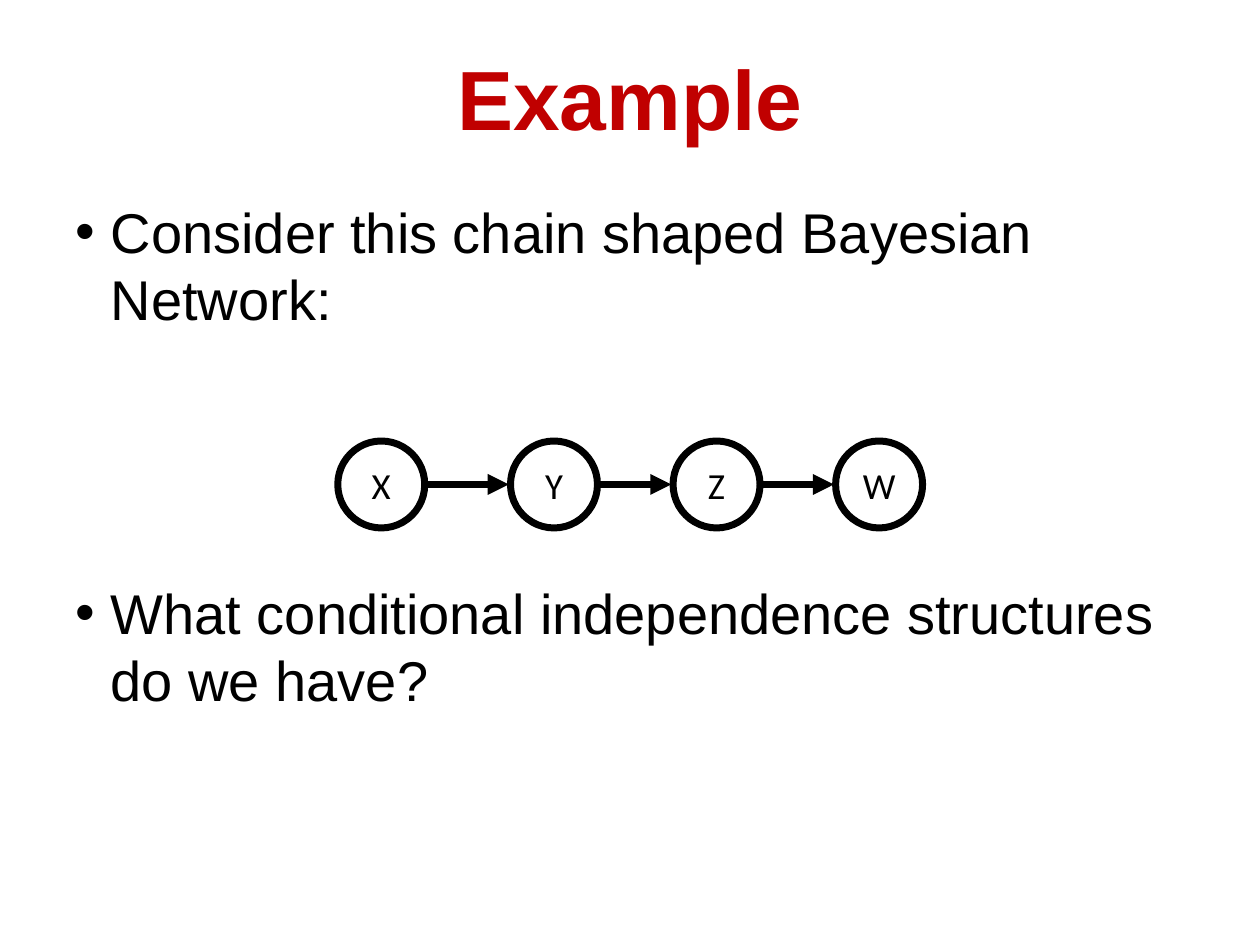
"""Builds the example slide with a chain-shaped Bayesian network."""
from lxml.etree import SubElement
from pptx import Presentation
from pptx.dml.color import RGBColor
from pptx.enum.shapes import MSO_CONNECTOR, MSO_SHAPE
from pptx.enum.text import MSO_ANCHOR, PP_ALIGN
from pptx.oxml.ns import qn
from pptx.util import Pt

COLORS = {"title": "C00000", "ink": "000000", "paper": "FFFFFF"}
NODES = [("X", 193), ("Y", 291.7), ("Z", 384.6), ("W", 477.5)]
NODE_TOP, NODE_SIZE = 252, 49.7
BULLETS = [
    ("Consider this chain shaped Bayesian Network:", 0),
    ("What conditional independence structures do we have?", 141),
]


class SlideBuilder:
    def __init__(self, slide):
        self.slide = slide
        self.line_width = Pt(4)

    def color(self, name):
        return RGBColor.from_string(COLORS[name])

    def style(self, paragraph, size, font, color="ink", bold=False):
        paragraph.font.size = Pt(size)
        paragraph.font.name = font
        paragraph.font.bold = bold
        paragraph.font.color.rgb = self.color(color)

    def outline(self, shape):
        shape.line.color.rgb = self.color("ink")
        shape.line.width = self.line_width

    def title(self, text, left, top, width, height):
        shape = self.slide.shapes.title
        shape.left, shape.top, shape.width, shape.height = map(Pt, (left, top, width, height))
        shape.text_frame.text = text
        shape.text_frame.vertical_anchor = MSO_ANCHOR.MIDDLE
        paragraph = shape.text_frame.paragraphs[0]
        paragraph.alignment = PP_ALIGN.CENTER
        self.style(paragraph, 48, "Arial", "title", True)

    def bullets(self, items, left, top, width, height):
        shape = self.slide.shapes.add_textbox(*map(Pt, (left, top, width, height)))
        frame = shape.text_frame
        frame.word_wrap = True
        frame.margin_top = Pt(5)
        for index, (text, space_before) in enumerate(items):
            paragraph = frame.add_paragraph() if index else frame.paragraphs[0]
            paragraph.text = text
            paragraph.line_spacing = Pt(38.3)
            if space_before:
                paragraph.space_before = Pt(space_before)
            properties = paragraph._p.get_or_add_pPr()
            properties.set("marL", str(Pt(20.25)))
            properties.set("indent", str(-Pt(20.25)))
            SubElement(properties, qn("a:buFont"), typeface="Arial")
            SubElement(properties, qn("a:buChar"), char="•")
            self.style(paragraph, 32, "Arial")

    def node(self, text, left, top, size):
        shape = self.slide.shapes.add_shape(MSO_SHAPE.OVAL, *map(Pt, (left, top, size, size)))
        shape.shadow.inherit = False
        shape.fill.solid()
        shape.fill.fore_color.rgb = self.color("paper")
        self.outline(shape)
        frame = shape.text_frame
        frame.word_wrap = False
        frame.margin_left = frame.margin_right = frame.margin_top = frame.margin_bottom = 0
        frame.vertical_anchor = MSO_ANCHOR.MIDDLE
        frame.text = text
        paragraph = frame.paragraphs[0]
        paragraph.alignment = PP_ALIGN.CENTER
        self.style(paragraph, 21, "Calibri")

    def arrow(self, start, end, middle):
        connector = self.slide.shapes.add_connector(
            MSO_CONNECTOR.STRAIGHT, *map(Pt, (start, middle, end, middle)))
        self.outline(connector)
        SubElement(connector.line._get_or_add_ln(), qn("a:tailEnd"), type="triangle")
        SubElement(connector._element.spPr, qn("a:effectLst"))


def main():
    presentation = Presentation()
    presentation.slide_width, presentation.slide_height = Pt(720), Pt(540)
    builder = SlideBuilder(presentation.slides.add_slide(presentation.slide_layouts[5]))
    builder.title("Example", 0, 9, 720, 93)
    builder.bullets(BULLETS, 36, 108, 648, 374.4)
    for text, left in NODES:
        builder.node(text, left, NODE_TOP, NODE_SIZE)
    for (_, left), (_, next_left) in zip(NODES, NODES[1:]):
        builder.arrow(left + NODE_SIZE + 1, next_left - 1, NODE_TOP + NODE_SIZE / 2)
    presentation.save("out.pptx")


if __name__ == "__main__":
    main()
